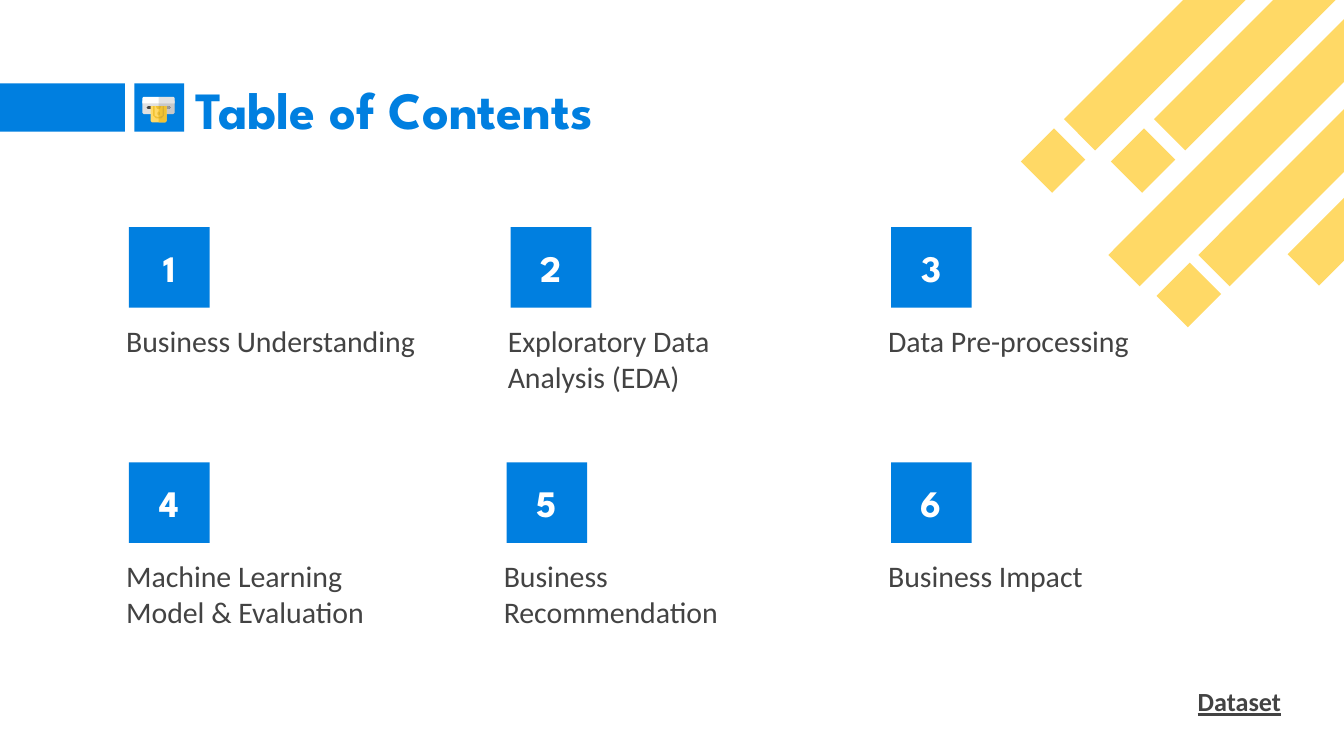
from dataclasses import dataclass

from lxml import etree
from pptx import Presentation
from pptx.dml.color import RGBColor
from pptx.enum import shapes, text
from pptx.oxml.ns import qn
from pptx.util import Inches, Pt


@dataclass(frozen=True)
class Theme:
    """Colours, fonts and type sizes of the slide."""
    blue: str = "007FE0"
    yellow: str = "FFD966"
    gold: str = "F1C232"
    dark: str = "434343"
    gray: str = "999999"
    silver: str = "E0E0E0"
    white: str = "FFFFFF"
    heading_font: str = "League Spartan"
    body_font: str = "Calibri"
    title_size: int = 28
    number_size: int = 20
    body_size: int = 16
    link_size: int = 14


THEME = Theme()
SHADE_PERCENT = 15
CARD_SIZE = 0.6
COLUMN_OFFSETS = (0, 2.84, 5.67)
ROW_PITCH = 1.75
BAR_THICKNESS = 0.33
BAR_PITCH = 0.67
ICON_AXIS = 12

ICON_PARTS = [
    ([(12, 3), (24, 3), (24, 12), (23, 13), (18, 13), (17, 12), (17, 9), (12, 9)],
     THEME.silver, None),
    ([(12, 0), (23, 0), (24, 1), (24, 5), (12, 5)], THEME.white, None),
    ([(12, 7), (20, 7), (21, 8), (20, 9), (12, 9)], THEME.dark, THEME.gray),
    ([(12, 7), (18, 7), (18, 18), (17, 19), (12, 19)], THEME.yellow, THEME.gold),
    ([(12, 15), (13, 15), (15, 14), (15, 7), (16, 7), (16, 14), (14, 16), (12, 16)],
     THEME.gold, None),
    ([(12, 7), (14, 7), (13, 9), (12, 9)], THEME.gold, None),
    ([(12, 11), (13, 12), (13, 13), (12, 14)], THEME.gold, None),
]


def paint(shape, color, opacity=100):
    """Give a shape a plain fill with no outline or shadow."""
    shape.shadow.inherit = False
    shape.line.fill.background()
    shape.fill.solid()
    shape.fill.fore_color.rgb = RGBColor.from_string(color)
    if opacity < 100:
        fill_color = shape._element.spPr.find(qn("a:solidFill"))[0]
        etree.SubElement(fill_color, qn("a:alpha"), val=str(opacity * 1000))


def add_rectangle(slide, left, top, width, height, color):
    """Add a plain rectangle."""
    shape = slide.shapes.add_shape(
        shapes.MSO_SHAPE.RECTANGLE,
        Inches(left), Inches(top), Inches(width), Inches(height))
    paint(shape, color)
    return shape


def write(shape, wording, font, size, color, bold=False, underline=None,
          align=text.PP_ALIGN.LEFT, anchor=text.MSO_ANCHOR.TOP):
    """Write one formatted paragraph into a shape."""
    frame = shape.text_frame
    frame.word_wrap = True
    frame.vertical_anchor = anchor
    frame.margin_left = frame.margin_right = Inches(0.1)
    frame.margin_top = frame.margin_bottom = Inches(0.1)
    paragraph = frame.paragraphs[0]
    paragraph.text = wording
    paragraph.alignment = align
    paragraph.font.name = font
    paragraph.font.size = Pt(size)
    paragraph.font.bold = bold
    paragraph.font.underline = underline
    paragraph.font.color.rgb = RGBColor.from_string(color)


def add_text(slide, left, top, width, height, wording, font, size, color, **style):
    """Add a text box holding one paragraph."""
    box = slide.shapes.add_textbox(
        Inches(left), Inches(top), Inches(width), Inches(height))
    write(box, wording, font, size, color, **style)


def add_outline(slide, left, top, points, color, opacity=100):
    """Add a closed outline from points in hundredths of an inch."""
    builder = slide.shapes.build_freeform(*points[0], scale=Inches(0.01))
    builder.add_line_segments(points[1:], close=True)
    paint(builder.convert_to_shape(Inches(left), Inches(top)), color, opacity)


def add_diagonal_bars(slide, left, top):
    """Draw the slanted bars and squares of the corner."""
    square, long, short = 0.35, 3.02, 1.34
    bars = [(0.07, 1.26, square, 2), (0, 0, long, 2), (0.33, 1.01, long, 2),
            (1.91, 1.6, short, 1), (1.08, 2.26, square, 1)]
    for x, y, length, count in bars:
        for index in range(count):
            bar = add_rectangle(slide, left + x + index * BAR_PITCH, top + y,
                                length, BAR_THICKNESS, THEME.yellow)
            bar.rotation = 135


def add_cash_icon(slide, left, top):
    """Draw the cash machine, each part mirrored about its axis."""
    for right_half, color, right_color in ICON_PARTS:
        left_half = [(2 * ICON_AXIS - x, y) for x, y in reversed(right_half)
                     if x != ICON_AXIS]
        add_outline(slide, left, top, right_half + left_half, color)
        if right_color:
            add_outline(slide, left, top, right_half, right_color)
        else:
            add_outline(slide, left, top, right_half, THEME.dark, SHADE_PERCENT)


def add_header(slide, left, top):
    """Draw the title with its blue band and icon tile."""
    add_rectangle(slide, left, top, 0.93, 0.36, THEME.blue)
    add_rectangle(slide, left + 1, top, 0.37, 0.36, THEME.blue)
    add_cash_icon(slide, left + 1.06, top + 0.1)
    add_text(slide, left + 1.36, top - 0.05, 6.78, 0.47, "Table of Contents",
             THEME.heading_font, THEME.title_size, THEME.blue,
             bold=True, anchor=text.MSO_ANCHOR.MIDDLE)


def add_card(slide, left, top, number, label, label_width):
    """Draw a numbered square with its label below."""
    tile = add_rectangle(slide, left, top, CARD_SIZE, CARD_SIZE, THEME.blue)
    write(tile, str(number), THEME.heading_font, THEME.number_size, THEME.white,
          bold=True, align=text.PP_ALIGN.CENTER, anchor=text.MSO_ANCHOR.MIDDLE)
    add_text(slide, left - 0.12, top + 0.61, label_width, 0.7, label,
             THEME.body_font, THEME.body_size, THEME.dark)


def add_contents(slide, left, top):
    """Lay out the six chapters in a grid of three columns."""
    chapters = [("Business Understanding", 0, 2.38),
                ("Exploratory Data Analysis (EDA)", 0, 2.38),
                ("Data Pre-processing", 0, 2.17),
                ("Machine Learning Model & Evaluation", 0, 2.38),
                ("Business Recommendation", -0.03, 2.38),
                ("Business Impact", 0, 2.38)]
    for index, (label, shift, label_width) in enumerate(chapters):
        row, column = divmod(index, len(COLUMN_OFFSETS))
        add_card(slide, left + COLUMN_OFFSETS[column] + shift,
                 top + row * ROW_PITCH, index + 1, label, label_width)


def main():
    """Build and save the contents slide."""
    presentation = Presentation()
    presentation.slide_width = Inches(10)
    presentation.slide_height = Inches(10) * 9 // 16
    slide = presentation.slides.add_slide(presentation.slide_layouts[6])
    add_diagonal_bars(slide, 7.59, -0.23)
    add_header(slide, 0, 0.62)
    add_contents(slide, 0.96, 1.69)
    add_text(slide, 0.84, 5, 8.79, 0.44, "Dataset", THEME.body_font,
             THEME.link_size, THEME.dark, bold=True, underline=True,
             align=text.PP_ALIGN.RIGHT)
    presentation.save("out.pptx")


if __name__ == "__main__":
    main()
